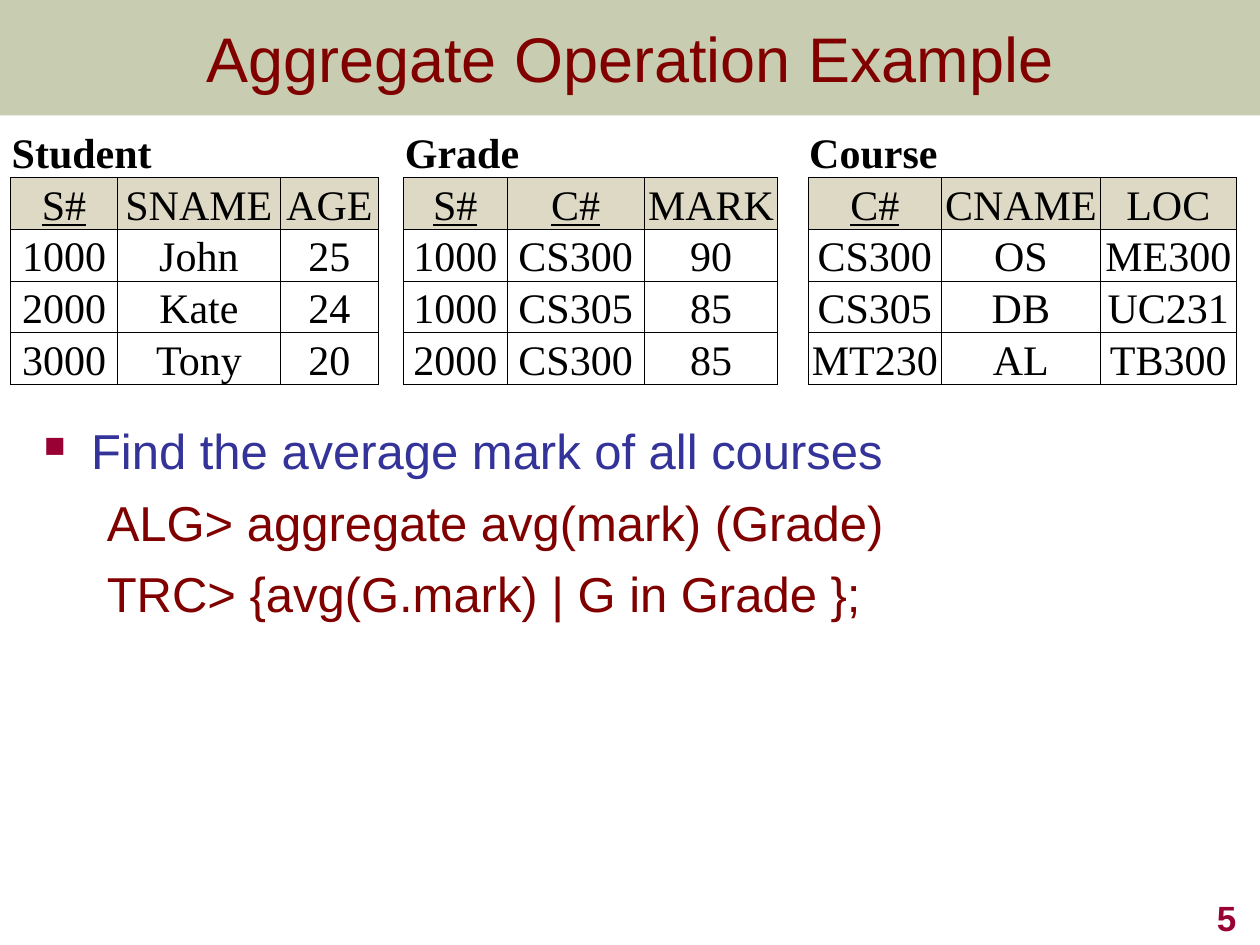
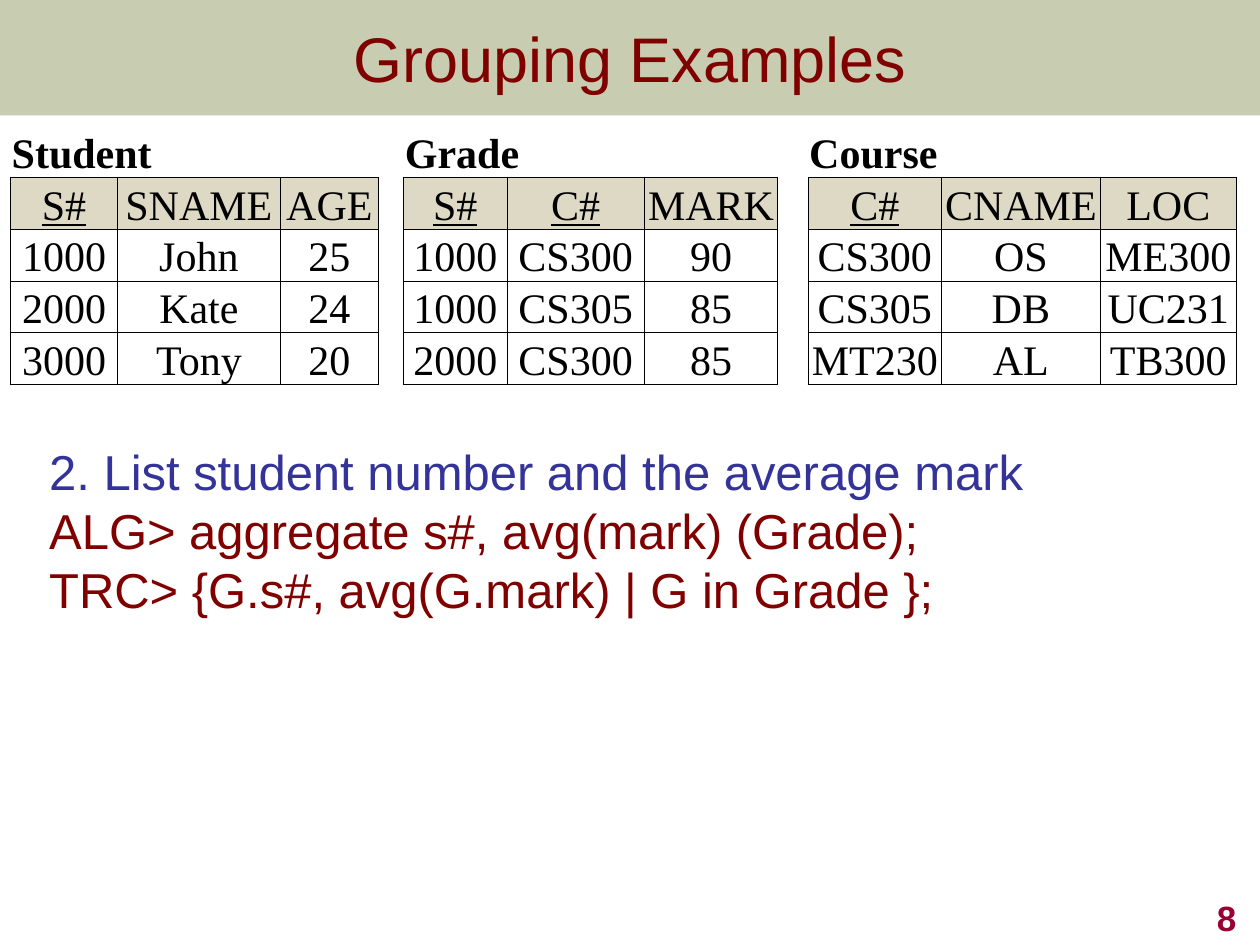
from dataclasses import dataclass

from lxml import etree
from pptx import Presentation
from pptx.dml.color import RGBColor
from pptx.enum import shapes, text
from pptx.oxml import ns
from pptx.util import Pt


@dataclass(frozen=True)
class Theme:
    band: str = "677228"
    band_opacity: int = 36
    dark_red: str = "800000"
    question: str = "333399"
    accent: str = "990033"
    header: str = "DDD9C4"
    black: str = "000000"
    white: str = "FFFFFF"
    sans: str = "Arial"
    serif: str = "Times New Roman"
    title_size: int = 36
    body_size: int = 28
    table_size: int = 24
    number_size: int = 20


THEME = Theme()
WIDTH, HEIGHT = 720, 540
BAND_HEIGHT = 66
ROW_HEIGHT = 27.4

# Each relation: name, key columns, column widths, heading and rows
RELATIONS = [
    ("Student", {"S#"}, [61.2, 92.9, 56.2],
     [["S#", "SNAME", "AGE"], ["1000", "John", "25"],
      ["2000", "Kate", "24"], ["3000", "Tony", "20"]]),
    ("Grade", {"S#", "C#"}, [59, 78.5, 76.3],
     [["S#", "C#", "MARK"], ["1000", "CS300", "90"],
      ["1000", "CS305", "85"], ["2000", "CS300", "85"]]),
    ("Course", {"C#"}, [76.3, 90.7, 77.8],
     [["C#", "CNAME", "LOC"], ["CS300", "OS", "ME300"],
      ["CS305", "DB", "UC231"], ["MT230", "AL", "TB300"]]),
]
GAP_WIDTHS = [14.4, 17.3]


def set_attributes(target, values):
    for name, value in values.items():
        setattr(target, name, value)


def add_element(parent, tag, **attributes):
    return etree.SubElement(parent, ns.qn(tag), attributes)


def write(paragraph, content, color, name=THEME.sans, **font_format):
    run = paragraph.add_run()
    run.text = content
    set_attributes(run.font, {"name": name, **font_format})
    run.font.color.rgb = RGBColor.from_string(color)


def add_text_frame(slide, left, top, width, height, **frame_format):
    box = slide.shapes.add_textbox(Pt(left), Pt(top), Pt(width), Pt(height))
    set_attributes(box.text_frame, {"word_wrap": True, **frame_format})
    return box.text_frame


def add_band(slide):
    band = slide.shapes.add_shape(shapes.MSO_SHAPE.RECTANGLE,
                                  0, 0, Pt(WIDTH), Pt(BAND_HEIGHT))
    band.shadow.inherit = False
    band.line.fill.background()
    band.fill.solid()
    band.fill.fore_color.rgb = RGBColor.from_string(THEME.band)
    color = band.fill._xPr.find(".//" + ns.qn("a:srgbClr"))
    add_element(color, "a:alpha", val=str(THEME.band_opacity * 1000))


def add_title(slide, title, height):
    frame = add_text_frame(slide, 0, 0, WIDTH, height,
                           vertical_anchor=text.MSO_ANCHOR.MIDDLE)
    paragraph = frame.paragraphs[0]
    paragraph.alignment = text.PP_ALIGN.CENTER
    write(paragraph, title, THEME.dark_red, size=Pt(THEME.title_size))


def add_page_number(slide, number):
    frame = add_text_frame(slide, 563.8, 504, 149.8, 36,
                           vertical_anchor=text.MSO_ANCHOR.BOTTOM)
    paragraph = frame.paragraphs[0]
    paragraph.alignment = text.PP_ALIGN.RIGHT
    write(paragraph, str(number), THEME.accent,
          size=Pt(THEME.number_size), bold=True)


def set_indent(paragraph, left, first_line):
    properties = paragraph._p.get_or_add_pPr()
    properties.set("marL", str(Pt(left)))
    properties.set("indent", str(Pt(first_line)))
    return properties


def add_square_bullet(paragraph):
    properties = set_indent(paragraph, 27, -27)
    color = add_element(properties, "a:buClr")
    add_element(color, "a:srgbClr", val=THEME.accent)
    add_element(properties, "a:buSzPct", val="60000")
    add_element(properties, "a:buChar", char="■")


def add_query(slide, area, lines, bulleted, line_spacing):
    """Write a question and, below it, its formal answers."""
    frame = add_text_frame(slide, *area, margin_right=0)
    for index, line in enumerate(lines):
        paragraph = frame.paragraphs[0] if index == 0 else frame.add_paragraph()
        if not bulleted:
            set_indent(paragraph, 27, -27)
        elif index == 0:
            add_square_bullet(paragraph)
        else:
            set_indent(paragraph, 36, 0)
        paragraph.line_spacing = line_spacing
        if index:
            paragraph.space_before = Pt(7)
        write(paragraph, line, THEME.dark_red if index else THEME.question,
              size=Pt(THEME.body_size))


def format_cell(cell, fill, ruled_sides):
    """Rule the given sides (letters of LRTB), clear the others and fill."""
    properties = cell._tc.get_or_add_tcPr()
    for side in "LRTB":
        line = add_element(properties, f"a:ln{side}", w=str(Pt(0.5)))
        if side in ruled_sides:
            color = add_element(line, "a:solidFill")
            add_element(color, "a:srgbClr", val=THEME.black)
        else:
            add_element(line, "a:noFill")
    cell.fill.solid()
    cell.fill.fore_color.rgb = RGBColor.from_string(fill)
    set_attributes(cell, {
        "margin_left": Pt(0.7), "margin_right": Pt(0.7),
        "margin_top": Pt(0.7), "margin_bottom": 0,
        "vertical_anchor": text.MSO_ANCHOR.BOTTOM,
    })


def write_cell(cell, content, alignment, **font_format):
    paragraph = cell.text_frame.paragraphs[0]
    paragraph.alignment = alignment
    write(paragraph, content, THEME.black, THEME.serif,
          size=Pt(THEME.table_size), **font_format)


def fill_relation(table, first_column, name, keys, rows):
    last_column = first_column + len(rows[0]) - 1
    for column in range(first_column, last_column + 1):
        format_cell(table.cell(0, column), THEME.white, "B")
    caption = table.cell(0, first_column)
    caption.merge(table.cell(0, last_column))
    write_cell(caption, name, text.PP_ALIGN.LEFT, bold=True)
    for row, values in enumerate(rows, 1):
        for column, value in enumerate(values, first_column):
            cell = table.cell(row, column)
            format_cell(cell, THEME.header if row == 1 else THEME.white, "LRTB")
            write_cell(cell, value, text.PP_ALIGN.CENTER, bold=False,
                       underline=row == 1 and value in keys)


def add_relations(slide):
    widths = []
    starts = []
    for index, (_, _, relation_widths, _) in enumerate(RELATIONS):
        if index:
            widths.append(GAP_WIDTHS[index - 1])
        starts.append(len(widths))
        widths.extend(relation_widths)
    row_count = len(RELATIONS[0][3]) + 1
    table = slide.shapes.add_table(
        row_count, len(widths), Pt(6), Pt(72),
        Pt(sum(widths)), Pt(ROW_HEIGHT * row_count)).table
    set_attributes(table, {"first_row": False, "horz_banding": False})
    for column, width in zip(table.columns, widths):
        column.width = Pt(width)
    for row in table.rows:
        row.height = Pt(ROW_HEIGHT)
    for start, (name, keys, _, rows) in zip(starts, RELATIONS):
        fill_relation(table, start, name, keys, rows)
    for start in starts[1:]:
        for row in range(row_count):
            format_cell(table.cell(row, start - 1), THEME.white,
                        "LR" if row else "")


def add_example(presentation, title, title_height, number, **query):
    slide = presentation.slides.add_slide(presentation.slide_layouts[6])
    add_band(slide)
    add_title(slide, title, title_height)
    add_query(slide, **query)
    add_page_number(slide, number)
    add_relations(slide)


def main():
    presentation = Presentation()
    presentation.slide_width, presentation.slide_height = Pt(WIDTH), Pt(HEIGHT)
    add_example(
        presentation, "Aggregate Operation Example", 65, 5,
        area=(18, 237, 666.7, 221.8), bulleted=True, line_spacing=1.0,
        lines=["Find the average mark of all courses",
               "ALG> aggregate avg(mark) (Grade)",
               "TRC> {avg(G.mark) | G in Grade };"])
    add_example(
        presentation, "Grouping Examples", BAND_HEIGHT, 8,
        area=(21, 255, 678.2, 210.2), bulleted=False, line_spacing=0.8,
        lines=["2. List student number and the average mark",
               "ALG> aggregate s#, avg(mark) (Grade);",
               "TRC> {G.s#, avg(G.mark) | G in Grade };"])
    presentation.save("out.pptx")


if __name__ == "__main__":
    main()
